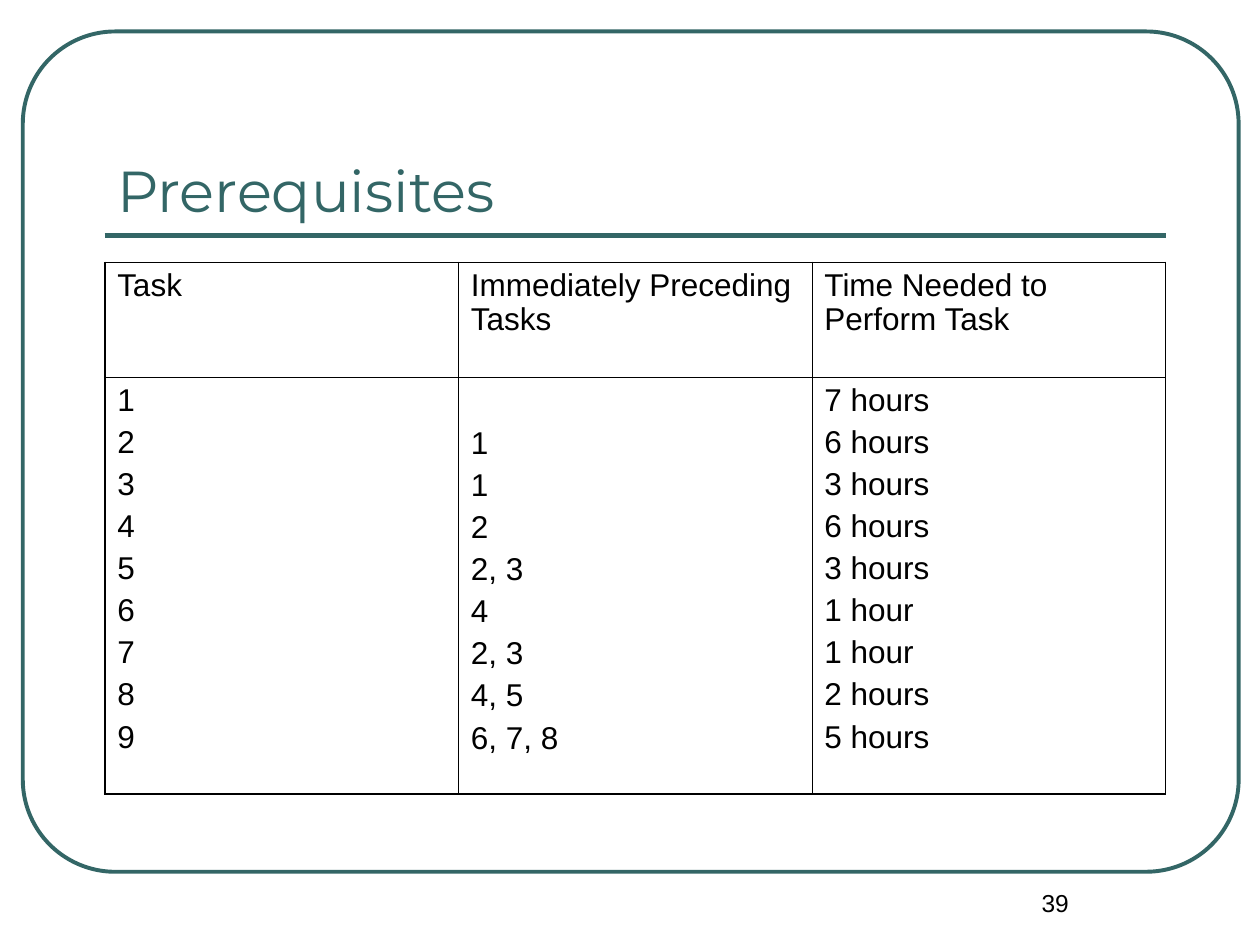
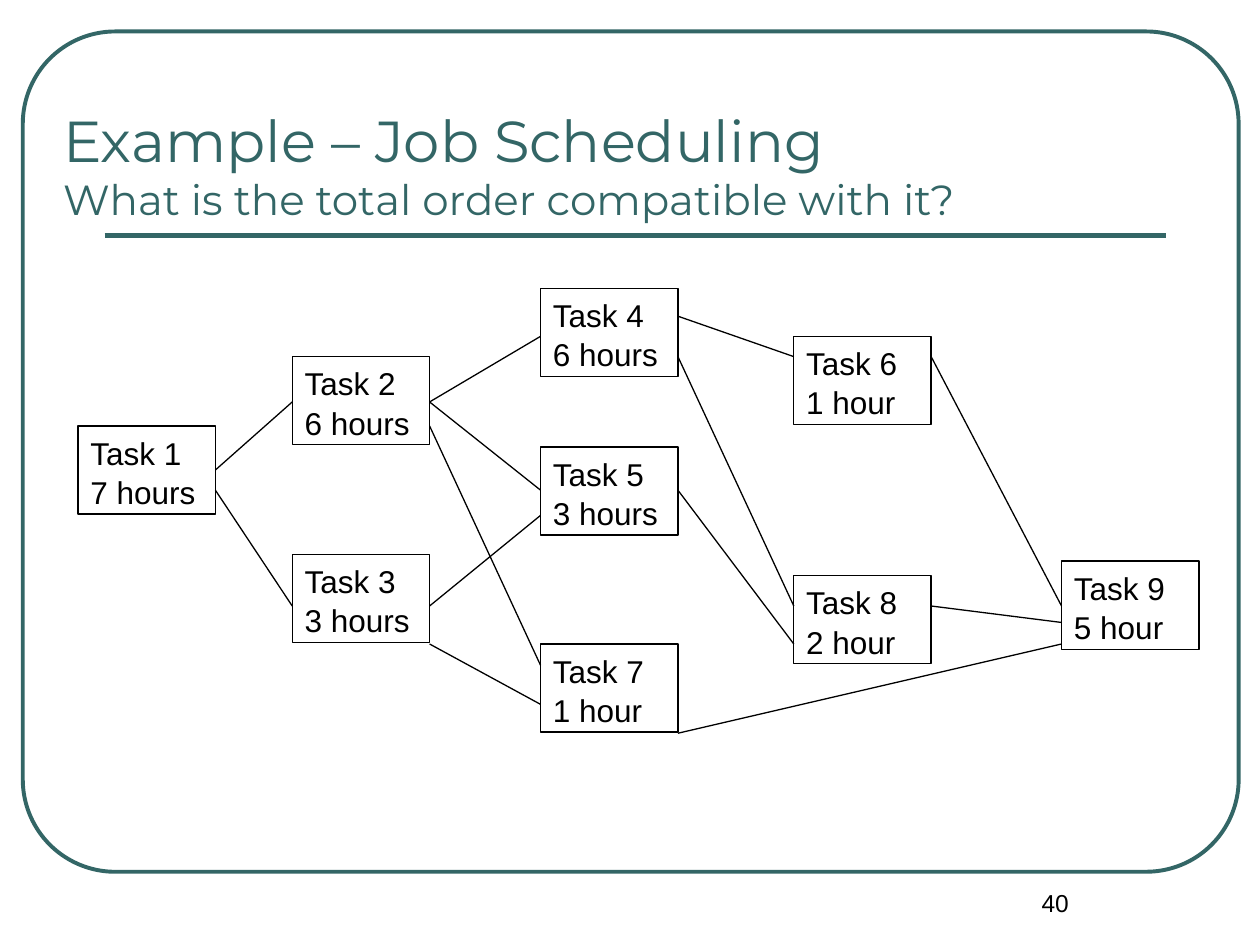
from dataclasses import dataclass

from lxml.etree import SubElement
from pptx import Presentation
from pptx.dml.color import RGBColor
from pptx.enum.shapes import MSO_CONNECTOR as Connector, MSO_SHAPE as Shape
from pptx.enum.text import MSO_ANCHOR as Anchor, MSO_AUTO_SIZE as AutoSize, PP_ALIGN as Align
from pptx.oxml import parse_xml
from pptx.oxml.ns import nsdecls, qn
from pptx.util import Pt

# Content
TABLE_TITLE = "Prerequisites"
HEADERS = ["Task", "Immediately Preceding Tasks", "Time Needed to Perform Task"]
PREREQUISITES = [
    ("1", "", "7 hours"),
    ("2", "1", "6 hours"),
    ("3", "1", "3 hours"),
    ("4", "2", "6 hours"),
    ("5", "2, 3", "3 hours"),
    ("6", "4", "1 hour"),
    ("7", "2, 3", "1 hour"),
    ("8", "4, 5", "2 hours"),
    ("9", "6, 7, 8", "5 hours"),
]

GRAPH_TITLE = "Example – Job Scheduling"
GRAPH_QUESTION = "What is the total order compatible with it?"
# Task number: duration, column, top
TASKS = {
    1: ("7 hours", 0, 243.4),
    2: ("6 hours", 1, 203.8),
    3: ("3 hours", 1, 316.8),
    4: ("6 hours", 2, 164.9),
    5: ("3 hours", 2, 255.4),
    7: ("1 hour", 2, 368),
    6: ("1 hour", 3, 192.2),
    8: ("2 hour", 3, 329),
    9: ("5 hour", 4, 320.6),
}
# Earlier task, later task, height at each end
LINKS = [
    (1, 2, 268.6, 229.7),
    (1, 3, 280.1, 346.3),
    (2, 4, 229.7, 192.2),
    (2, 5, 229.7, 280.1),
    (2, 7, 243.4, 380.2),
    (3, 5, 346.3, 294.5),
    (3, 7, 368, 402.5),
    (4, 6, 180.7, 203.8),
    (4, 8, 203.8, 346.3),
    (5, 8, 280.1, 368),
    (6, 9, 203.8, 346.3),
    (8, 9, 346.3, 355.7),
    (7, 9, 419, 368),
]


@dataclass(frozen=True)
class Theme:
    accent: RGBColor = RGBColor(0x33, 0x66, 0x66)
    ink: RGBColor = RGBColor(0, 0, 0)
    title_font: str = "Montserrat"
    body_font: str = "Arial"
    title_size: float = 33
    subtitle_size: float = 24
    body_size: float = 18
    number_size: float = 14


THEME = Theme()

# Layout
LEFT, RIGHT = 59.8, 666
COLUMN_LEFTS = [44.6, 167, 308.9, 453.6, 606.6]
BOX_WIDTH, BOX_HEIGHT = 78.5, 50.4
TABLE_TOP, ROW_HEIGHTS = 150, (65.7, 238)
OUTER_BORDER, INNER_BORDER = 1.08, 0.45


def add_run(paragraph, text, size, font=THEME.body_font, color=THEME.ink):
    run = paragraph.add_run()
    run.text = text
    run.font.size = Pt(size)
    run.font.name = font
    run.font.color.rgb = color


def add_line(slide, start, end, color, width):
    line = slide.shapes.add_connector(Connector.STRAIGHT, *map(Pt, start + end))
    line.line.color.rgb = color
    line.line.width = Pt(width)
    SubElement(line.element.spPr, qn("a:effectLst"))


def add_outline(slide, kind, box, color, width):
    shape = slide.shapes.add_shape(kind, *map(Pt, box))
    shape.shadow.inherit = False
    shape.fill.background()
    shape.line.color.rgb = color
    shape.line.width = Pt(width)
    return shape


# Frame, rule, title and number shared by both slides
def add_slide(presentation, number, title_lines, title_left, title_width):
    slide = presentation.slides.add_slide(presentation.slide_layouts[5])
    frame = add_outline(slide, Shape.ROUNDED_RECTANGLE, (13, 18, 694.8, 480.2), THEME.accent, 2.25)
    frame.adjustments[0] = 0.11
    add_line(slide, (LEFT, 134.6), (RIGHT, 134.6), THEME.accent, 3)

    title = slide.shapes.title
    title.left, title.top = Pt(title_left), Pt(41.8)
    title.width, title.height = Pt(title_width), Pt(90)
    text_frame = title.text_frame
    text_frame.auto_size = AutoSize.NONE
    text_frame.vertical_anchor = Anchor.BOTTOM
    paragraph = text_frame.paragraphs[0]
    paragraph.alignment = Align.LEFT
    for index, (text, size) in enumerate(title_lines):
        if index:
            paragraph.add_line_break()
        add_run(paragraph, text, size, THEME.title_font, THEME.accent)

    number_box = slide.shapes.add_textbox(Pt(540), Pt(504), Pt(126), Pt(36))
    number_box.text_frame.word_wrap = True
    paragraph = number_box.text_frame.paragraphs[0]
    paragraph.alignment = Align.CENTER
    add_run(paragraph, str(number), THEME.number_size)
    return slide


# Prerequisites table
def set_borders(cell, widths):
    properties = cell._tc.get_or_add_tcPr()
    for index, (side, width) in enumerate(widths.items()):
        properties.insert(index, parse_xml(
            f'<a:ln{side} {nsdecls("a")} w="{Pt(width)}"><a:solidFill>'
            f'<a:srgbClr val="{THEME.ink}"/></a:solidFill></a:ln{side}>'))


def fill_cell(cell, lines):
    cell.fill.background()
    for index, text in enumerate(lines):
        text_frame = cell.text_frame
        paragraph = text_frame.add_paragraph() if index else text_frame.paragraphs[0]
        paragraph.line_spacing = 0.97
        if index:
            paragraph.space_before = Pt(4.5)
        add_run(paragraph, text, THEME.body_size)


def add_prerequisites(slide):
    columns = list(zip(*PREREQUISITES))
    last_row, last_column = len(ROW_HEIGHTS) - 1, len(HEADERS) - 1
    table = slide.shapes.add_table(
        len(ROW_HEIGHTS), len(HEADERS), Pt(LEFT), Pt(TABLE_TOP),
        Pt(RIGHT - LEFT), Pt(sum(ROW_HEIGHTS))).table
    for row, height in zip(table.rows, ROW_HEIGHTS):
        row.height = Pt(height)
    for column, header in enumerate(HEADERS):
        for row, lines in enumerate(([header], columns[column])):
            cell = table.cell(row, column)
            fill_cell(cell, lines)
            on_edge = {"L": column == 0, "R": column == last_column,
                       "T": row == 0, "B": row == last_row}
            set_borders(cell, {side: OUTER_BORDER if edge else INNER_BORDER
                               for side, edge in on_edge.items()})


# Task graph
def add_task(slide, number, duration, column, top):
    box = (COLUMN_LEFTS[column], top, BOX_WIDTH, BOX_HEIGHT)
    shape = add_outline(slide, Shape.RECTANGLE, box, THEME.ink, 0.75)
    text_frame = shape.text_frame
    text_frame.word_wrap = True
    text_frame.vertical_anchor = Anchor.TOP
    paragraph = text_frame.paragraphs[0]
    paragraph.alignment = Align.LEFT
    paragraph.line_spacing = 1.04
    add_run(paragraph, f"Task {number}", THEME.body_size)
    paragraph.add_line_break()
    add_run(paragraph, duration, THEME.body_size)


def add_graph(slide):
    for number, (duration, column, top) in TASKS.items():
        add_task(slide, number, duration, column, top)
    for earlier, later, start_y, end_y in LINKS:
        start_x = COLUMN_LEFTS[TASKS[earlier][1]] + BOX_WIDTH
        end_x = COLUMN_LEFTS[TASKS[later][1]]
        add_line(slide, (start_x, start_y), (end_x, end_y), THEME.ink, 0.75)


def main():
    presentation = Presentation()
    presentation.slide_width, presentation.slide_height = Pt(720), Pt(540)
    add_prerequisites(add_slide(
        presentation, 39, [(TABLE_TITLE, THEME.title_size)], LEFT, RIGHT - LEFT))
    add_graph(add_slide(
        presentation, 40,
        [(GRAPH_TITLE, THEME.title_size), (GRAPH_QUESTION, THEME.subtitle_size)], 28.8, 670.3))
    presentation.save("out.pptx")


if __name__ == "__main__":
    main()
